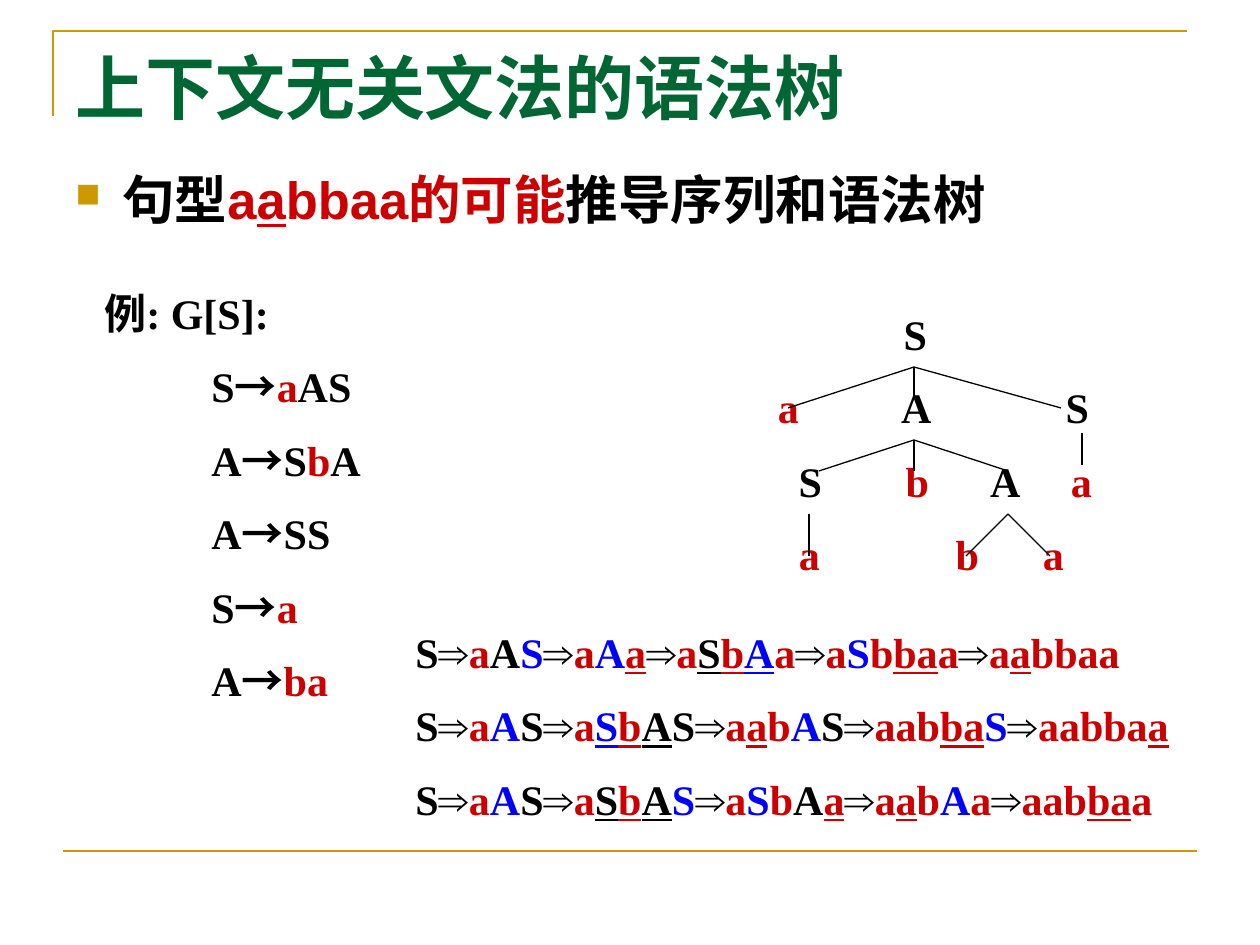
from itertools import groupby
from typing import NamedTuple

from lxml.etree import SubElement
from pptx import Presentation
from pptx.dml.color import RGBColor
from pptx.enum.shapes import MSO_CONNECTOR as Conn
from pptx.oxml.ns import qn
from pptx.util import Pt

SCALE = 914400 / 126
GOLD, GREEN, BLACK, RED, BLUE = "CC9900", "006633", "000000", "CC0000", "0000FF"
SERIF, SANS, CJK = "Times New Roman", "Arial", "Noto Sans CJK SC"


class Line(NamedTuple):
    """A straight line between two points."""
    x1: int
    y1: int
    x2: int
    y2: int
    color: str = BLACK
    width: float = 0.75


class Style(NamedTuple):
    """The look of one run."""
    color: str
    underline: bool
    cjk: bool


class Row(NamedTuple):
    """One level of the tree: its symbols and their centres."""
    symbols: str
    centers: tuple[int, ...]


def px(n: float) -> int:
    """Turn pixels into EMU."""
    return round(n * SCALE)


def rgb(color: str) -> RGBColor:
    """Turn a hex string into a colour."""
    return RGBColor.from_string(color)


def styled(text: str, base: str) -> list[tuple[str, Style]]:
    """Read markup: _ underlines, * is blue, ^ is red; terminals are red."""
    on = dict.fromkeys("_*^", False)
    chars = []
    for c in text:
        if c in on:
            on[c] = not on[c]
            continue
        red = on["^"] or "a" <= c <= "z"
        color = BLUE if on["*"] else RED if red else base
        chars.append((c, Style(color, on["_"], c == "→" or c >= "\u2e80")))
    return [("".join(c for c, _ in group), style)
            for style, group in groupby(chars, key=lambda item: item[1])]


def add_text(p, text: str, *, size: float = 24, font: str = SERIF, color: str = BLACK,
             before: float = 0, indent: int = 0) -> None:
    """Fill a paragraph with bold marked-up text."""
    p.space_before = Pt(before)
    if indent:
        p._p.get_or_add_pPr().set("marL", str(px(indent)))
    for part, style in styled(text, color):
        r = p.add_run()
        r.text = part
        f = r.font
        f.size, f.bold, f.underline = Pt(size), True, style.underline
        f.color.rgb = rgb(style.color)
        f.name = CJK if style.cjk and "→" in part else font
        if style.cjk:
            SubElement(r._r.get_or_add_rPr(), qn("a:ea")).set("typeface", CJK)


def add_box(s, x: int, y: int, w: int, h: int):
    """Add a wrapping text box and return its text frame."""
    tf = s.shapes.add_textbox(px(x), px(y), px(w), px(h)).text_frame
    tf.word_wrap = True
    return tf


def paragraphs(tf, count: int) -> list:
    """Return the given number of paragraphs of a new text frame."""
    return [tf.paragraphs[0]] + [tf.add_paragraph() for _ in range(count - 1)]


def add_bullet(p, hang: int) -> None:
    """Give a paragraph a small gold square bullet."""
    pr = p._p.get_or_add_pPr()
    pr.set("marL", str(px(hang)))
    pr.set("indent", str(px(-hang)))
    SubElement(SubElement(pr, qn("a:buClr")), qn("a:srgbClr")).set("val", GOLD)
    SubElement(pr, qn("a:buSzPct")).set("val", "65000")
    SubElement(pr, qn("a:buChar")).set("char", "■")


def add_tabs(p, stops: list[int]) -> None:
    """Set centred tab stops."""
    tabs = SubElement(p._p.get_or_add_pPr(), qn("a:tabLst"))
    for stop in stops:
        tab = SubElement(tabs, qn("a:tab"))
        tab.set("pos", str(px(stop)))
        tab.set("algn", "ctr")


def add_line(s, line: Line) -> None:
    """Draw a straight line without shadow."""
    sp = s.shapes.add_connector(Conn.STRAIGHT, *map(px, line[:4]))
    sp.line.color.rgb, sp.line.width = rgb(line.color), Pt(line.width)
    SubElement(sp._element.spPr, qn("a:effectLst"))


def add_corner(s) -> None:
    """Draw the gold corner around the title."""
    fb = s.shapes.build_freeform(px(53), px(116))
    fb.add_line_segments([(px(53), px(31)), (px(1187), px(31))], close=False)
    sp = fb.convert_to_shape()
    sp.shadow.inherit = False
    sp.fill.background()
    sp.line.color.rgb, sp.line.width = rgb(GOLD), Pt(1.5)


RULES = ["S→aAS", "A→SbA", "A→SS", "S→a", "A→ba"]
DERIVATIONS = [
    "S⇒aA*S*⇒a*A*_a_⇒a_Sb*A*_a⇒a*S*b_ba_a⇒a_a_bbaa",
    "S⇒a*A*S⇒a_*S*bA_S⇒a_a_b*A*S⇒aab_ba_*S*⇒aabba_a_",
    "S⇒a*A*S⇒a_SbA_*S*⇒a*S*bA_a_⇒a_a_b*A*a⇒aab_ba_a",
]
TREE = [
    Row("S", (916,)),
    Row("aAS", (789, 917, 1078)),
    Row("SbAa", (811, 918, 1006, 1082)),
    Row("aba", (810, 968, 1054)),
]
TREE_X, INSET, GAP = 630, 13, 13.2
FANS = [
    ((914, 367), [(914, 398), (788, 408), (1061, 408)]),
    ((914, 440), [(914, 471), (819, 471), (1008, 471)]),
    ((809, 514), [(809, 556)]),
    ((1008, 514), [(966, 556), (1050, 556)]),
    ((1082, 433), [(1082, 465)]),
]

prs = Presentation()
prs.slide_width, prs.slide_height = px(1260), px(945)
s = prs.slides.add_slide(prs.slide_layouts[6])

add_corner(s)
add_line(s, Line(63, 851, 1197, 851, GOLD, 1.5))

title = add_box(s, 63, 38, 1134, 158).paragraphs[0]
add_text(title, "上下文无关文法的语法树", size=40, color=GREEN)

topic = add_box(s, 63, 168, 1130, 83).paragraphs[0]
topic.line_spacing = 0.9
add_text(topic, "句型^a_a_bbaa的可能^推导序列和语法树", size=30, font=SANS, before=6)
add_bullet(topic, 47)

head, *rules = paragraphs(add_box(s, 73, 281, 325, 445), len(RULES) + 1)
add_text(head, "例: G[S]:", before=GAP, indent=19)
for p, rule in zip(rules, RULES):
    add_text(p, rule, before=GAP, indent=126)

for p, row in zip(paragraphs(add_box(s, TREE_X, 302, 577, 292), len(TREE)), TREE):
    add_text(p, "".join("\t" + symbol for symbol in row.symbols), before=GAP)
    add_tabs(p, [x - TREE_X - INSET for x in row.centers])

for start, ends in FANS:
    for end in ends:
        add_line(s, Line(*start, *end))

for p, text in zip(paragraphs(add_box(s, 403, 620, 851, 217), 3), DERIVATIONS):
    add_text(p, text, before=GAP)

prs.save("out.pptx")
